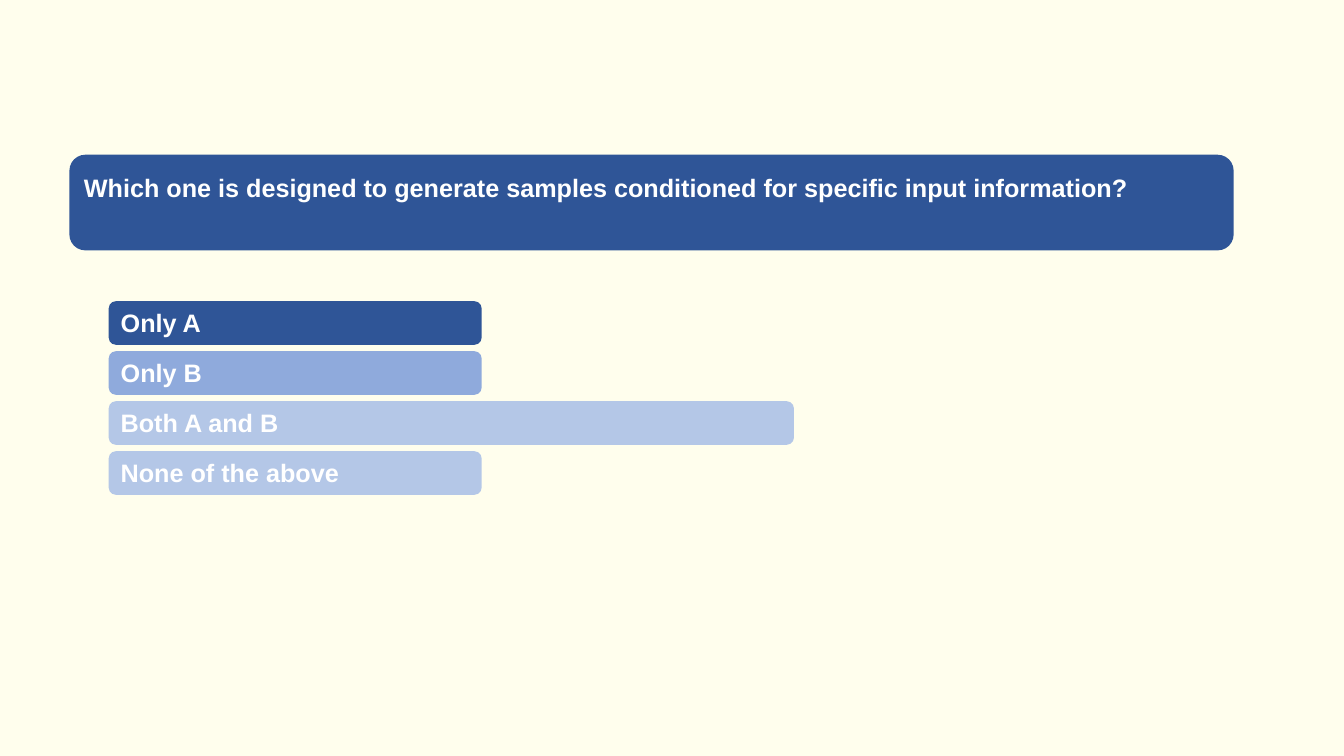
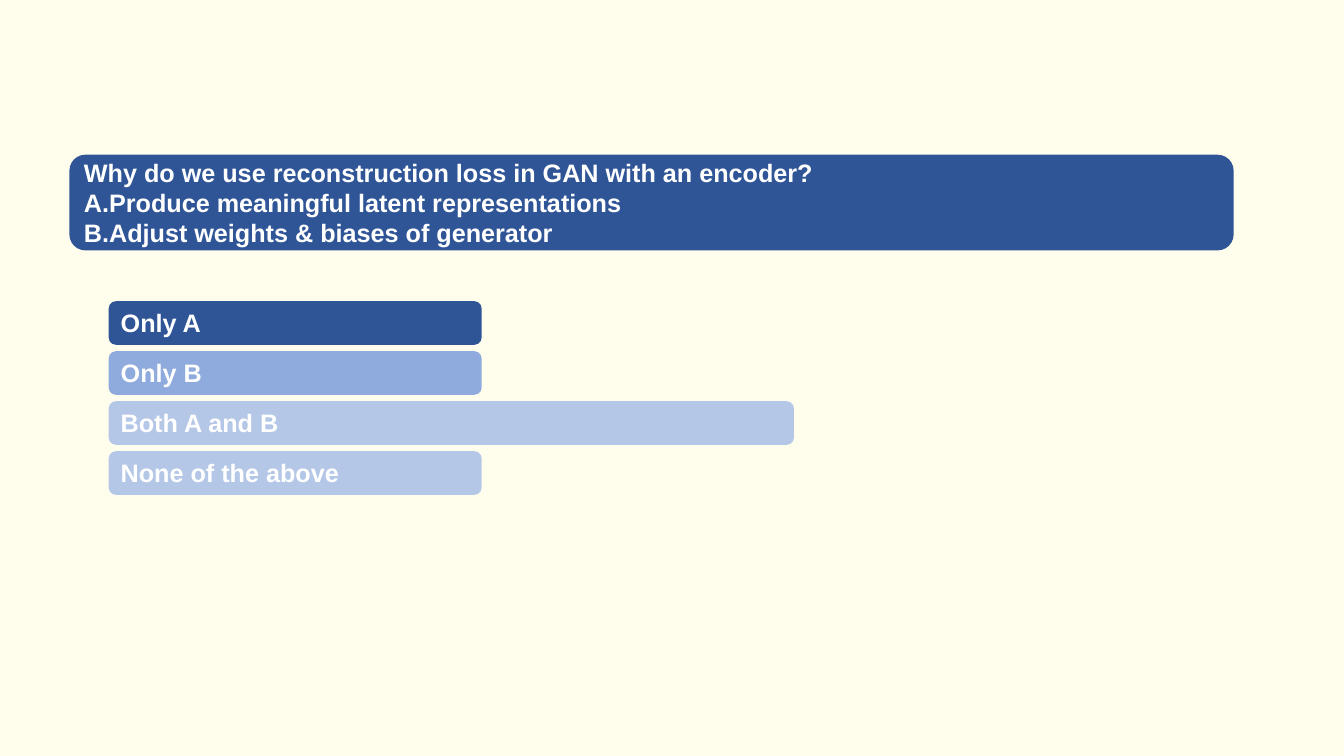
"""Build two quiz slides, each with a question banner and four answer bars."""
from pptx import Presentation
from pptx.dml.color import RGBColor
from pptx.enum.shapes import MSO_SHAPE
from pptx.enum.text import MSO_ANCHOR, PP_ALIGN
from pptx.util import Cm, Pt

COLORS = {
    "background": "FFFEED",
    "dark": "2F5597",
    "medium": "8FAADC",
    "light": "B4C7E7",
    "text": "FFFFFF",
}
QUESTIONS = [
    (["Which one is designed to generate samples conditioned for specific input information?"], 0.88),
    (["Why do we use reconstruction loss in GAN with an encoder?",
      "A.Produce meaningful latent representations",
      "B.Adjust weights & biases of generator"], 0.13),
]
ANSWERS = [
    ("Only A", "dark", 9.4),
    ("Only B", "medium", 9.4),
    ("Both A and B", "light", 17.27),
    ("None of the above", "light", 9.4),
]
BANNER = (1.75, 3.9, 29.34, 2.41)
ANSWER_LEFT, ANSWER_TOP, ANSWER_HEIGHT, ANSWER_PITCH = 2.74, 7.59, 1.1, 1.26


def rgb(name):
    return RGBColor.from_string(COLORS[name])


def add_bar(slide, box, text, color, bottom_inset=0.13):
    bar = slide.shapes.add_shape(MSO_SHAPE.ROUNDED_RECTANGLE, *map(Cm, box))
    bar.shadow.inherit = False
    bar.fill.solid()
    bar.fill.fore_color.rgb = rgb(color)
    bar.line.fill.background()
    frame = bar.text_frame
    frame.word_wrap = True
    frame.vertical_anchor = MSO_ANCHOR.MIDDLE
    frame.margin_bottom = Cm(bottom_inset)
    paragraph = frame.paragraphs[0]
    paragraph.text = text
    paragraph.alignment = PP_ALIGN.LEFT
    paragraph.font.name = "Arial"
    paragraph.font.size = Pt(18)
    paragraph.font.bold = True
    paragraph.font.color.rgb = rgb("text")


deck = Presentation()
deck.slide_width, deck.slide_height = Cm(33.87), Cm(19.05)
for question_lines, bottom_inset in QUESTIONS:
    slide = deck.slides.add_slide(deck.slide_layouts[6])
    slide.background.fill.solid()
    slide.background.fill.fore_color.rgb = rgb("background")
    add_bar(slide, BANNER, "\v".join(question_lines), "dark", bottom_inset)
    for row, (answer, color, width) in enumerate(ANSWERS):
        top = ANSWER_TOP + row * ANSWER_PITCH
        add_bar(slide, (ANSWER_LEFT, top, width, ANSWER_HEIGHT), answer, color)
deck.save("out.pptx")
